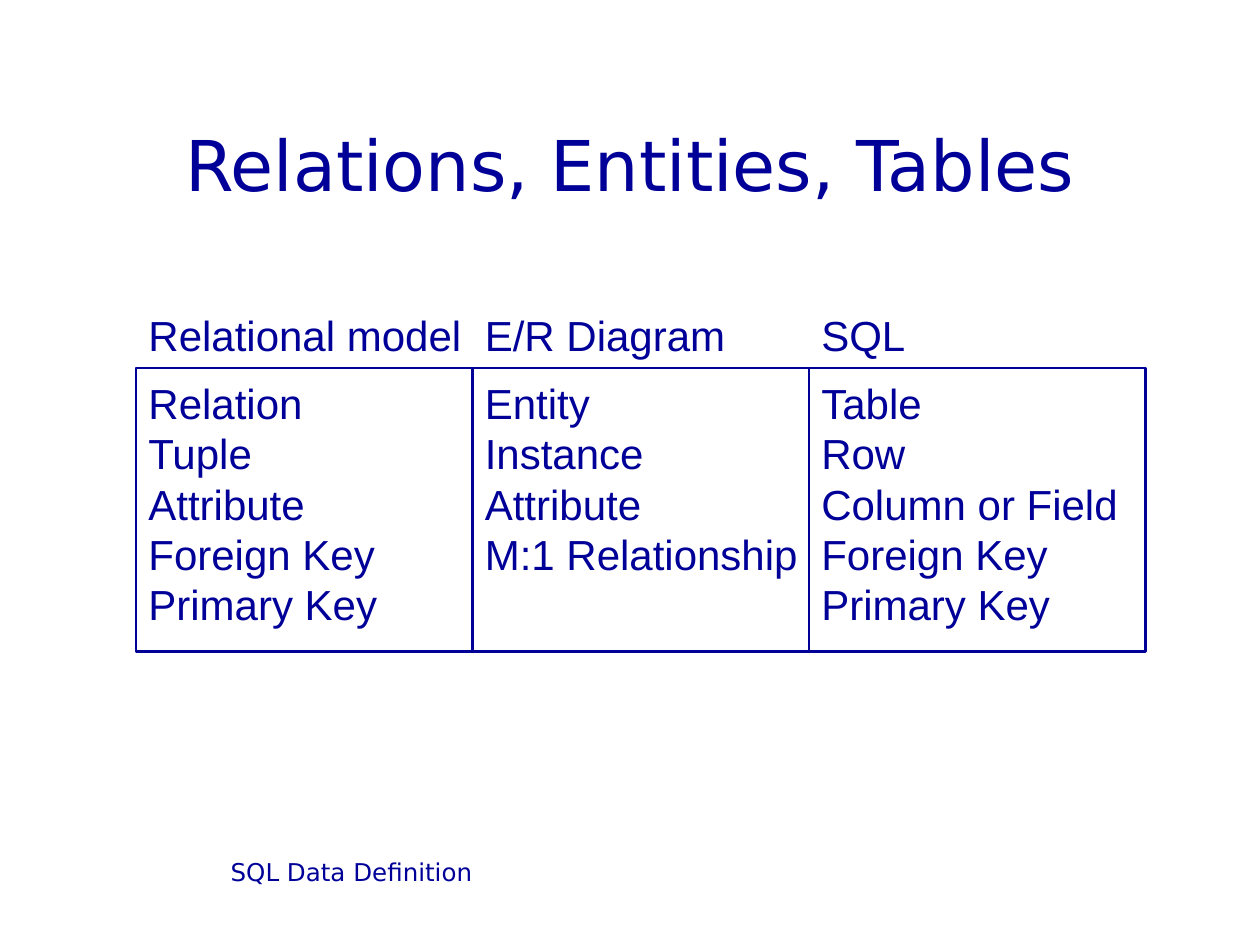
"""Build a slide matching relational, E/R and SQL terms in three columns."""
from pptx import Presentation
from pptx.dml.color import RGBColor
from pptx.enum import shapes, text
from pptx.util import Inches, Pt

COLORS = {"ink": "000099"}
INK = RGBColor.from_string(COLORS["ink"])
COLUMNS = [
    ("Relational model", ["Relation", "Tuple", "Attribute", "Foreign Key", "Primary Key"]),
    ("E/R Diagram", ["Entity", "Instance", "Attribute", "M:1 Relationship"]),
    ("SQL", ["Table", "Row", "Column or Field", "Foreign Key", "Primary Key"]),
]
LEFT, COLUMN_WIDTH, TEXT_WIDTH = 1.08, 2.67, 2.8


def style(para, size, font, align):
    para.alignment = align
    para.font.size = Pt(size)
    para.font.name = font
    para.font.color.rgb = INK


deck = Presentation()
deck.slide_width, deck.slide_height = Inches(10), Inches(7.5)
page = deck.slides.add_slide(deck.slide_layouts[5])

title = page.shapes.title
title.left, title.top = Inches(0.75), Inches(0.67)
title.width, title.height = Inches(8.5), Inches(1.25)
title.text_frame.text = "Relations, Entities, Tables"
title.text_frame.vertical_anchor = text.MSO_ANCHOR.MIDDLE
style(title.text_frame.paragraphs[0], 40, "DejaVu Sans", text.PP_ALIGN.CENTER)

footer = page.shapes.add_textbox(Inches(0.75), Inches(6.75), Inches(4.08), Inches(0.5))
footer.text_frame.word_wrap = True
footer.text_frame.text = "SQL Data Definition"
style(footer.text_frame.paragraphs[0], 14, "DejaVu Sans", text.PP_ALIGN.CENTER)

for index, (heading, terms) in enumerate(COLUMNS):
    left = Inches(LEFT + index * COLUMN_WIDTH)
    frame = page.shapes.add_shape(
        shapes.MSO_SHAPE.RECTANGLE, left, Inches(2.92), Inches(COLUMN_WIDTH), Inches(2.25))
    frame.shadow.inherit = False
    frame.fill.background()
    frame.line.color.rgb = INK
    frame.line.width = Pt(1.5)

    box = page.shapes.add_textbox(left, Inches(2.41), Inches(TEXT_WIDTH), Inches(2.64))
    box.text_frame.word_wrap = True
    box.text_frame.text = "\n".join([heading, *terms])
    for para in box.text_frame.paragraphs:
        style(para, 24, "Arial", text.PP_ALIGN.LEFT)
        para.line_spacing = Pt(28.75)
    box.text_frame.paragraphs[1].space_before = Pt(10)

deck.save("out.pptx")
